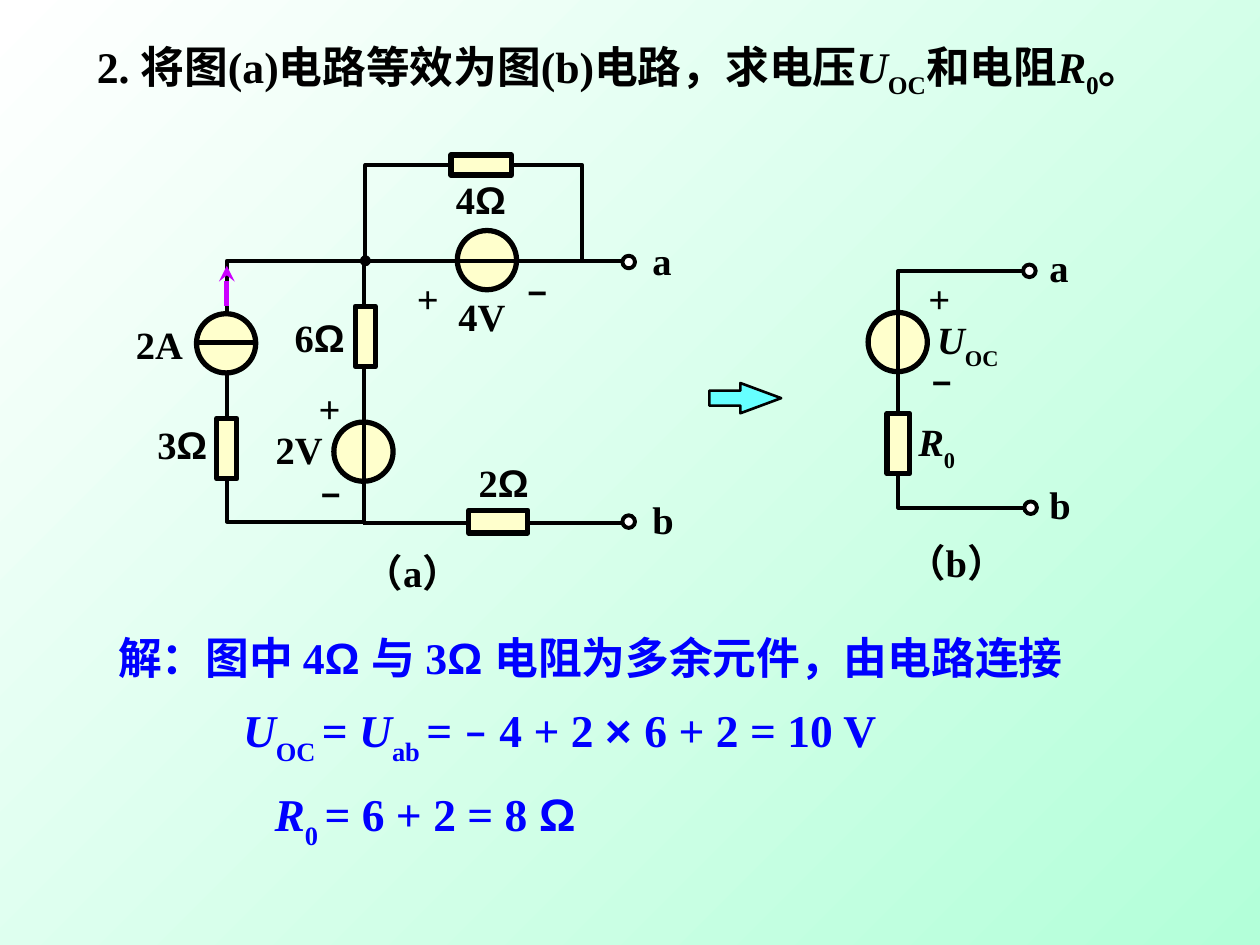
"""Build a circuit exercise slide: reduce network (a) to its equivalent (b)."""
from dataclasses import dataclass
from typing import NamedTuple

from lxml import etree
from pptx import Presentation, util as u
from pptx.dml.color import RGBColor
from pptx.enum import shapes, text
from pptx.oxml.ns import qn

BLACK, BLUE, CREAM, WHITE = "000000", "0000FF", "FFFFCC", "FFFFFF"
SERIF, SANS, DASH = "Times New Roman", "Arial", "Lato"
CENTER, LEFT = text.PP_ALIGN.CENTER, text.PP_ALIGN.LEFT
TOP, MIDDLE = text.MSO_ANCHOR.TOP, text.MSO_ANCHOR.MIDDLE
SHAPE = shapes.MSO_SHAPE
SOURCE = 0.47
TERMINAL = 0.1


class Span(NamedTuple):
    text: str
    font: str = SERIF
    italic: bool = False
    baseline: int = 0
    size: float | None = None


class Line(NamedTuple):
    spans: list[Span]
    indent: float = 0
    size: float = 25


class Resistor(NamedTuple):
    left: float
    top: float
    width: float = 0.48
    height: float = 0.16
    upright: bool = False


@dataclass
class Label:
    left: float
    top: float
    spans: list[Span]
    width: float = 0.97
    height: float = 0.76
    align: int = LEFT
    anchor: int = TOP


def color(value: str) -> RGBColor:
    return RGBColor.from_string(value)


def var(name: str, subscript: str, drop: int = -30) -> list[Span]:
    return [Span(name, italic=True), Span(subscript, baseline=drop)]


def ohms(value: str) -> list[Span]:
    return [Span(value), Span("Ω", SANS)]


def write_span(para, words: str, *, size: float, ink: str, font: str = SERIF,
               italic: bool = False, baseline: int = 0) -> None:
    span = para.add_run()
    span.text = words
    span.font.name, span.font.size = font, u.Pt(size)
    span.font.bold, span.font.italic = True, italic
    span.font.color.rgb = color(ink)
    if baseline:
        span._r.get_or_add_rPr().set("baseline", str(baseline * 1000))


def add_text(canvas, left: float, top: float, width: float, height: float,
             lines: list[Line], *, ink: str = BLACK, align: int = LEFT,
             anchor: int = TOP, spacing: float | None = None) -> None:
    box = canvas.add_textbox(*map(u.Inches, (left, top, width, height)))
    frame = box.text_frame
    frame.word_wrap, frame.vertical_anchor = True, anchor
    for index, line in enumerate(lines):
        para = frame.add_paragraph() if index else frame.paragraphs[0]
        para.alignment = align
        if spacing:
            para.line_spacing = spacing
        if line.indent:
            para._p.get_or_add_pPr().set("marL", str(u.Inches(line.indent)))
        for span in line.spans:
            write_span(para, span.text, size=span.size or line.size, ink=ink,
                       font=span.font, italic=span.italic, baseline=span.baseline)


def add_shape(canvas, kind: int, left: float, top: float, width: float,
              height: float, fill: str | None = CREAM, weight: float = 3):
    shape = canvas.add_shape(kind, *map(u.Inches, (left, top, width, height)))
    style_outline(shape, fill, weight)
    return shape


def style_outline(shape, fill: str | None, weight: float) -> None:
    shape.shadow.inherit = False
    if fill:
        shape.fill.solid()
        shape.fill.fore_color.rgb = color(fill)
    else:
        shape.fill.background()
    shape.line.color.rgb = color(BLACK)
    shape.line.width = u.Pt(weight)


def add_source(canvas, left: float, top: float) -> None:
    add_shape(canvas, SHAPE.OVAL, left, top, SOURCE, SOURCE)


def add_terminal(canvas, left: float, top: float) -> None:
    add_shape(canvas, SHAPE.OVAL, left, top, TERMINAL, TERMINAL, WHITE, 2.25)


def add_resistor(canvas, part: Resistor) -> None:
    shape = add_shape(canvas, SHAPE.RECTANGLE, part.left, part.top, part.width, part.height)
    shape.rotation = 270 if part.upright else 0


def add_line(canvas, start: tuple, end: tuple, weight: float = 2.25,
             ink: str = BLACK, arrow: bool = False) -> None:
    line = canvas.add_connector(shapes.MSO_CONNECTOR.STRAIGHT,
                                *map(u.Inches, (*start, *end)))
    line.line.color.rgb = color(ink)
    line.line.width = u.Pt(weight)
    if arrow:
        etree.SubElement(line.line._get_or_add_ln(), qn("a:tailEnd"), type="stealth")
    etree.SubElement(line._element.spPr, qn("a:effectLst"))


def add_wire(canvas, points: list[tuple]) -> None:
    first, *rest = [tuple(map(u.Inches, point)) for point in points]
    builder = canvas.build_freeform(*first)
    builder.add_line_segments(rest, close=False)
    style_outline(builder.convert_to_shape(), None, 2.25)


def add_label(canvas, label: Label) -> None:
    add_text(canvas, label.left, label.top, label.width, label.height,
             [Line(label.spans, size=22)], align=label.align, anchor=label.anchor)


def minus(left: float, top: float) -> Label:
    return Label(left, top, [Span("–", DASH, size=24)], 0.36, 0.5, CENTER, MIDDLE)


def terminal_name(left: float, top: float, name: str) -> Label:
    return Label(left, top, [Span(name)], 0.37, 0.47)


def draw_network(canvas) -> None:
    add_source(canvas, 3.63, 1.83)
    add_source(canvas, 2.65, 3.35)
    add_shape(canvas, SHAPE.RECTANGLE, 1.8, 2.07, 1.09, 2.07, None, 2.25)
    for height in (2.07, 4.15):
        add_line(canvas, (2.88, height), (4.93, height))
    add_wire(canvas, [(4.62, 2.07), (4.62, 1.31), (2.9, 1.31), (2.9, 2.06)])
    add_source(canvas, 1.56, 2.49)
    add_line(canvas, (1.56, 2.72), (2.03, 2.72), 3)
    for part in (Resistor(2.66, 2.59, upright=True), Resistor(1.56, 3.48, upright=True),
                 Resistor(3.72, 4.05, 0.47, 0.18), Resistor(3.58, 1.23)):
        add_resistor(canvas, part)
    for top in (2.03, 4.09):
        add_terminal(canvas, 4.94, top)
    add_shape(canvas, SHAPE.OVAL, 2.86, 2.03, 0.08, 0.08, BLACK, 0.5)
    add_line(canvas, (1.8, 2.43), (1.8, 2.11), 3, "CC00FF", arrow=True)
    for label in (
            Label(3.21, 2.13, [Span("+")]), Label(2.43, 3.01, [Span("+")]),
            minus(4.07, 2.05), minus(2.43, 3.65),
            Label(3.54, 2.28, [Span("4V")]), Label(2.09, 3.33, [Span("2V")]),
            Label(0.98, 2.5, [Span("2A")], 0.9, 0.67),
            Label(2.24, 2.44, ohms("6")), Label(1.15, 3.29, ohms("3")),
            Label(3.7, 3.59, ohms("2"), 1.01, 0.58), Label(3.52, 1.35, ohms("4"), 0.85, 0.58),
            terminal_name(5.08, 1.83, "a"), terminal_name(5.08, 3.89, "b"),
            Label(2.57, 4.31, [Span("（a）")], 1.41, 0.65, CENTER)):
        add_label(canvas, label)


def draw_equivalent(canvas) -> None:
    add_source(canvas, 6.89, 2.48)
    add_wire(canvas, [(8.11, 2.15), (7.13, 2.15), (7.13, 4.03), (8.19, 4.03)])
    add_terminal(canvas, 8.12, 2.1)
    add_terminal(canvas, 8.13, 3.98)
    add_resistor(canvas, Resistor(6.89, 3.43, 0.48, 0.18, True))
    for label in (
            Label(7.27, 2.13, [Span("+")]), minus(7.28, 2.76),
            Label(7.34, 2.46, var("U", "OC")), Label(7.19, 3.27, var("R", "0")),
            terminal_name(8.23, 1.89, "a"), terminal_name(8.23, 3.77, "b"),
            Label(6.94, 4.23, [Span("（b）")], 1.3, 0.65, CENTER)):
        add_label(canvas, label)


def main() -> None:
    deck = Presentation()
    deck.slide_width, deck.slide_height = u.Inches(10), u.Inches(7.5)
    page = deck.slides.add_slide(deck.slide_layouts[6])
    fill = page.background.fill
    fill.gradient()
    fill.gradient_angle = 315
    for stop, shade in zip(fill.gradient_stops, (WHITE, "B3FFD9")):
        stop.color.rgb = color(shade)

    question = [Span("2. 将图(a)电路等效为图(b)电路，求电压"), *var("U", "OC", -25),
                Span("和电阻"), *var("R", "0", -25), Span("。")]
    add_text(page.shapes, 0.67, 0.26, 8.82, 0.58, [Line(question)], anchor=MIDDLE)
    arrow = add_shape(page.shapes, SHAPE.RIGHT_ARROW, 5.63, 3.04, 0.57, 0.24, "66FFFF", 1.5)
    arrow.adjustments[0], arrow.adjustments[1] = 0.495, 1.348
    solution = [
        Line([Span("解：图中 4"), Span("Ω ", SANS), Span("与 3"), Span("Ω ", SANS),
              Span("电阻为多余元件，由电路连接")]),
        Line([*var("U", "OC "), Span("= "), *var("U", "ab "), Span("= "),
              Span("–", DASH, size=24), Span(" 4 + 2 "), Span("× ", SANS),
              Span("6 + 2 = 10 V")], 0.99, 26),
        Line([*var("R", "0 "), Span("= 6 + 2 = 8 "), Span("Ω", SANS)], 1.24, 26)]
    add_text(page.shapes, 0.84, 4.83, 7.98, 1.97, solution,
             ink=BLUE, anchor=MIDDLE, spacing=1.3)
    draw_network(page.shapes.add_group_shape().shapes)
    draw_equivalent(page.shapes.add_group_shape().shapes)
    deck.save("out.pptx")


if __name__ == "__main__":
    main()
